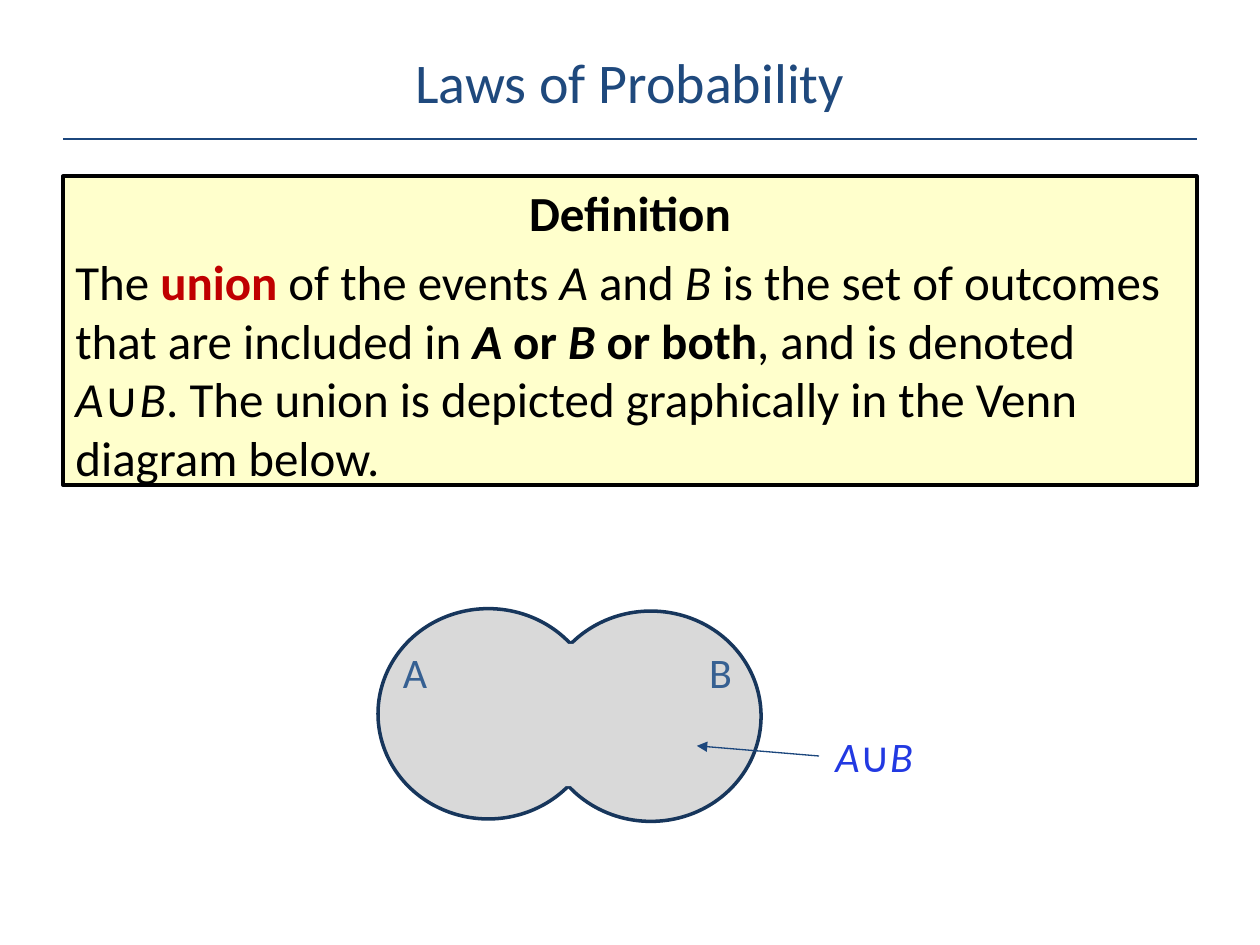
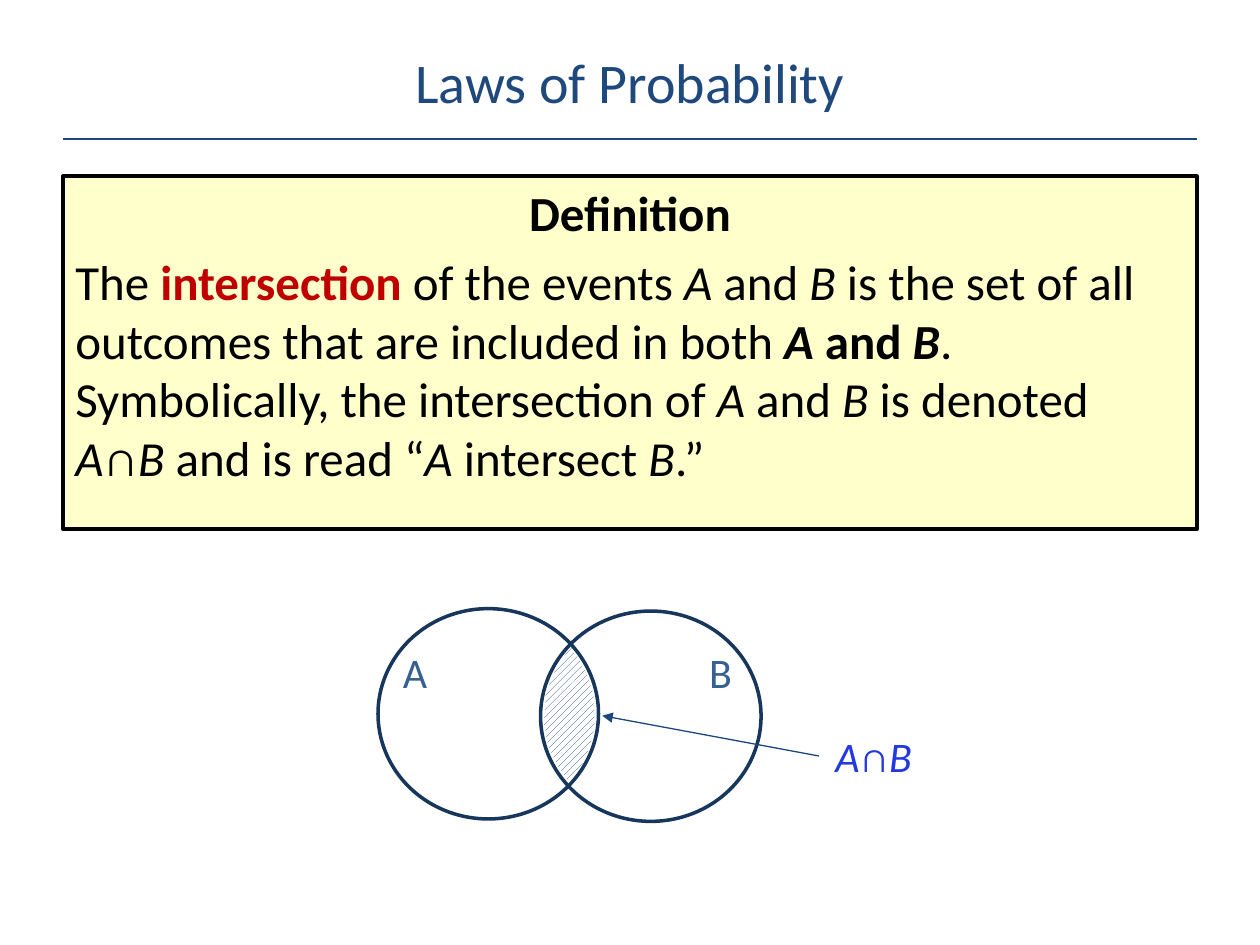
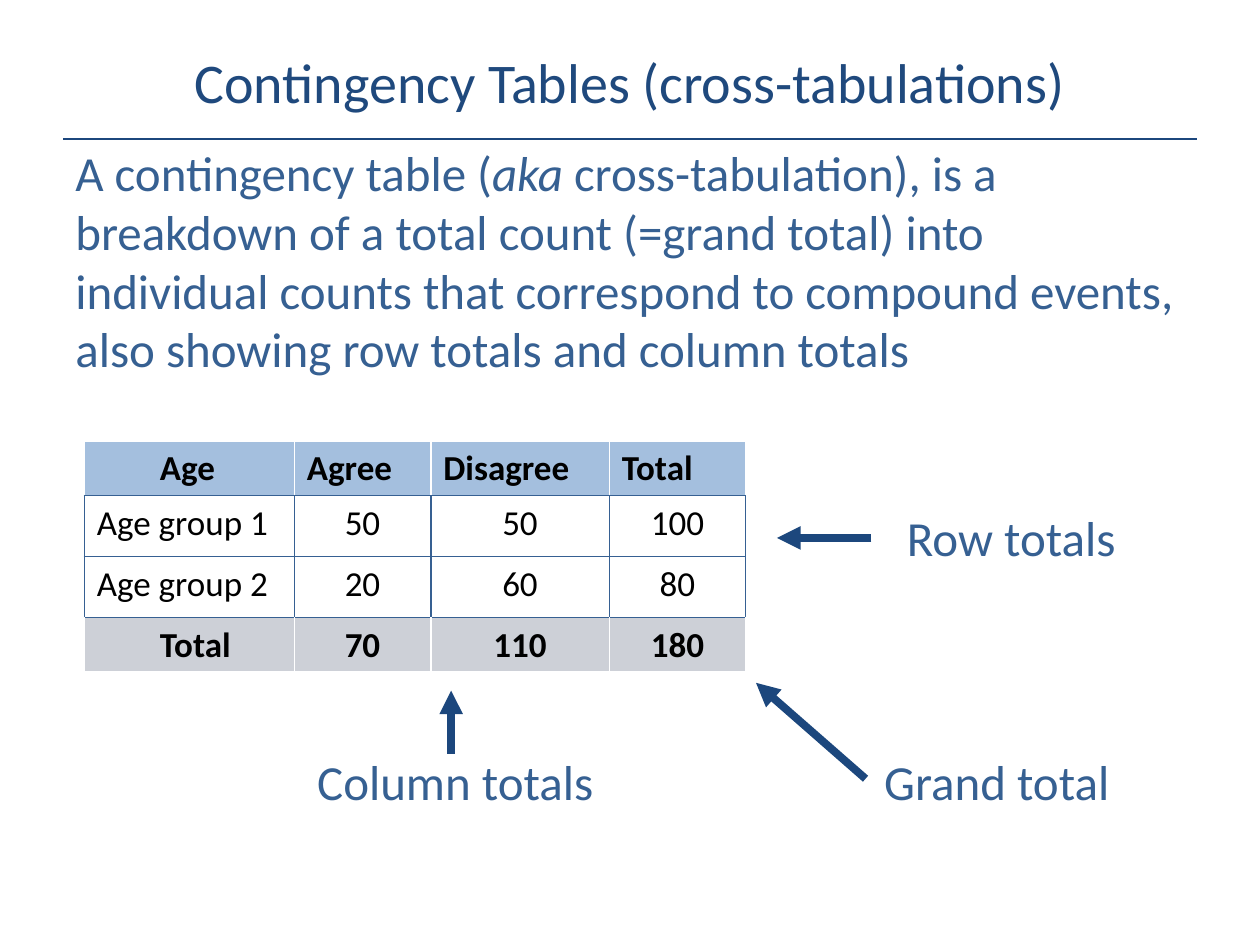
from lxml import etree
from pptx import Presentation
from pptx.dml.color import RGBColor
from pptx.enum import dml, shapes, text
from pptx.oxml import ns
from pptx.util import Pt

FONT = "Calibri"
COLORS = {
    "title": "1F497D", "rule": "1C477D", "body": "366092", "black": "000000",
    "key": "C00000", "result": "2239E2", "box": "FFFFCC", "circle": "17365C",
    "union": "D9D9D9", "white": "FFFFFF", "header": "A4BFDE", "total": "CDD0D7",
}

# Runs are (text, style): b bold, i italic, k key term.
UNION = {
    "title": "Laws of Probability",
    "box_height": 176.4,
    "definition": [
        ("The ", ""), ("union ", "bk"), ("of the events ", ""), ("A ", "i"), ("and ", ""),
        ("B", "i"), (" is the set of outcomes that are included in ", ""),
        ("A", "bi"), (" or ", "b"), ("B", "bi"), (" or both", "b"),
        (", and is denoted ", ""), ("A", "i"), ("∪", ""), ("B", "i"),
        (". The union is depicted graphically in the Venn diagram below.", ""),
    ],
    "result": [("A", "i"), ("∪", ""), ("B", "i")],
    "pointer": (398.2, 426.2),
}
INTERSECTION = {
    "title": "Laws of Probability",
    "box_height": 201.6,
    "definition": [
        ("The ", ""), ("intersection ", "bk"), ("of the events ", ""), ("A ", "i"),
        ("and ", ""), ("B", "i"),
        (" is the set of all outcomes that are included in both ", ""),
        ("A", "bi"), (" and ", "b"), ("B", "bi"),
        (". Symbolically, the intersection of ", ""), ("A", "i"), (" and ", ""),
        ("B", "i"), (" is denoted ", ""), ("A", "i"), ("∩", ""), ("B", "i"),
        (" and is read “", ""), ("A", "i"), (" intersect ", ""), ("B", "i"), (".”", ""),
    ],
    "result": [("A", "i"), ("∩", ""), ("B", "i")],
    "pointer": (344.2, 409),
}
CONTINGENCY = {
    "title": "Contingency Tables (cross-tabulations)",
    "intro": [
        ("A contingency table (", ""), ("aka", "i"),
        (" cross-tabulation), is a breakdown of a total count (=grand total) into "
         "individual counts that correspond to compound events, also showing row "
         "totals and column totals", ""),
    ],
    "counts": [
        ("\tAge", "Agree", "Disagree", "Total"),
        ("Age group 1", "50", "50", "100"),
        ("Age group 2", "20", "60", "80"),
        ("\tTotal", "70", "110", "180"),
    ],
    "callouts": [  # label, its box, arrow start, arrow end
        ("Row totals", (511.2, 286.6, 144, 41), (498, 307.4), (444, 307.4)),
        ("Column totals", (174.2, 426.2, 192, 41), (257.8, 430.6), (257.8, 394.6)),
        ("Grand total", (498.2, 426.2, 156, 41), (494.6, 445), (432, 390.2)),
    ],
}

MARGIN, CONTENT_WIDTH = 36, 648
CIRCLE_SIZE = (126, 120.2)
CIRCLES = {"A": (216, 347.8), "B": (308.9, 349.2)}
CIRCLE_LABELS = {"A": (223.2, 365.8), "B": (398.2, 365.8)}
OVERLAP_COVER = (264.2, 367.9, 113.8, 81.4)
LENS = [
    (326.2, 370), (319, 379.4), (311.8, 396), (311, 414), (313.2, 426.2),
    (319.7, 439.2), (325.4, 446.4), (332.6, 437), (337, 427), (339.8, 415.4),
    (339.1, 396), (334.1, 382.3), (330.5, 375.8),
]
COLUMN_WIDTHS = (120, 78, 102, 78)
ROW_HEIGHTS = (29.5, 34.8, 34.8, 29.5)


def rgb(name):
    return RGBColor.from_string(COLORS[name])


def pts(values):
    return [Pt(value) for value in values]


def write(paragraph, runs, size, color):
    for words, style in runs:
        run = paragraph.add_run()
        run.text = words
        font = run.font
        font.name, font.size = FONT, Pt(size)
        font.bold, font.italic = "b" in style, "i" in style
        font.color.rgb = rgb("key" if "k" in style else color)


def add_text(slide, box, runs, size, color):
    frame = slide.shapes.add_textbox(*pts(box)).text_frame
    frame.word_wrap = True
    write(frame.paragraphs[0], runs, size, color)
    return frame


def add_shape(slide, kind, box, fill=None, line=None, width=0):
    shape = slide.shapes.add_shape(kind, *pts(box))
    shape.shadow.inherit = False
    if fill:
        shape.fill.solid()
        shape.fill.fore_color.rgb = rgb(fill)
    else:
        shape.fill.background()
    if line:
        shape.line.color.rgb = rgb(line)
        shape.line.width = Pt(width)
    else:
        shape.line.fill.background()
    return shape


def add_line(slide, start, end, width, arrow=False):
    line = slide.shapes.add_connector(
        shapes.MSO_CONNECTOR.STRAIGHT, *pts(start + end))
    line.line.color.rgb = rgb("rule")
    line.line.width = Pt(width)
    if arrow:
        etree.SubElement(line.line._get_or_add_ln(), ns.qn("a:tailEnd"), type="triangle")
    etree.SubElement(line._element.spPr, ns.qn("a:effectLst"))


def add_titled_slide(deck, title):
    slide = deck.slides.add_slide(deck.slide_layouts[6])
    right = MARGIN + CONTENT_WIDTH
    add_line(slide, (MARGIN, 79.2), (right, 79.2), 1.25)
    frame = add_text(slide, (MARGIN, 14.4, CONTENT_WIDTH, 72), [(title, "")], 32, "title")
    frame.vertical_anchor = text.MSO_ANCHOR.MIDDLE
    frame.paragraphs[0].alignment = text.PP_ALIGN.CENTER
    frame.paragraphs[0].line_spacing = Pt(30)
    return slide


def add_definition(slide, runs, height):
    box = add_shape(slide, shapes.MSO_SHAPE.RECTANGLE,
                    (MARGIN, 100.8, CONTENT_WIDTH, height), "box", "black", 2.25)
    frame = box.text_frame
    frame.word_wrap = True
    frame.vertical_anchor = text.MSO_ANCHOR.TOP
    heading, definition = frame.paragraphs[0], frame.add_paragraph()
    heading.alignment = text.PP_ALIGN.CENTER
    write(heading, [("Definition", "b")], 28, "black")
    definition.alignment = text.PP_ALIGN.LEFT
    definition.space_before = Pt(5.6)
    write(definition, runs, 28, "black")


def add_circles(slide, names, fill=None):
    for name in names:
        add_shape(slide, shapes.MSO_SHAPE.OVAL, CIRCLES[name] + CIRCLE_SIZE,
                  fill, "circle", 2)


def draw_union(slide):
    add_circles(slide, "AB", "union")
    add_shape(slide, shapes.MSO_SHAPE.RECTANGLE, OVERLAP_COVER, "union")


def draw_intersection(slide):
    add_circles(slide, "BA")
    outline = slide.shapes.build_freeform(*pts(LENS[0]))
    outline.add_line_segments([pts(point) for point in LENS[1:]], close=True)
    lens = outline.convert_to_shape()
    lens.shadow.inherit = False
    lens.fill.patterned()
    lens.fill.pattern = dml.MSO_PATTERN.WIDE_UPWARD_DIAGONAL
    lens.fill.fore_color.rgb = rgb("title")
    lens.fill.back_color.rgb = rgb("white")
    lens.line.fill.background()


def add_venn_slide(deck, content, draw_venn):
    slide = add_titled_slide(deck, content["title"])
    add_definition(slide, content["definition"], content["box_height"])
    draw_venn(slide)
    for name, corner in CIRCLE_LABELS.items():
        add_text(slide, corner + (38.9, 36), [(name, "")], 24, "body")
    add_text(slide, (470.2, 414, 97.2, 36), content["result"], 24, "result")
    add_line(slide, (468, 432), content["pointer"], 0.75, arrow=True)


def set_borders(cell, left, right, top, bottom):
    properties = cell._tc.get_or_add_tcPr()
    sides = zip("LRTB", (left, right, top, bottom))
    for position, (side, color) in enumerate(sides):
        border = etree.Element(ns.qn(f"a:ln{side}"), w=str(Pt(1)))
        fill = etree.SubElement(border, ns.qn("a:solidFill"))
        etree.SubElement(fill, ns.qn("a:srgbClr"), val=COLORS[color])
        properties.insert(position, border)


def add_counts(slide, counts):
    table = slide.shapes.add_table(
        len(counts), len(counts[0]),
        *pts((48.2, 252, sum(COLUMN_WIDTHS), sum(ROW_HEIGHTS)))).table
    for column, width in zip(table.columns, COLUMN_WIDTHS):
        column.width = Pt(width)
    last = len(counts) - 1
    for r, values in enumerate(counts):
        table.rows[r].height = Pt(ROW_HEIGHTS[r])
        fill = {0: "header", last: "total"}.get(r, "white")
        side = "body" if fill == "white" else "white"
        top = "white" if r == 0 else "body"
        bottom = "white" if r == last else "body"
        for c, value in enumerate(values):
            cell = table.cell(r, c)
            cell.fill.solid()
            cell.fill.fore_color.rgb = rgb(fill)
            set_borders(cell, side, side, top, bottom)
            paragraph = cell.text_frame.paragraphs[0]
            if r and c:
                paragraph.alignment = text.PP_ALIGN.CENTER
            write(paragraph, [(value, "b" if r in (0, last) else "")], 20, "black")


def add_contingency_slide(deck, content):
    slide = add_titled_slide(deck, content["title"])
    add_text(slide, (MARGIN, 77.8, CONTENT_WIDTH, 143.3), content["intro"], 28, "body")
    add_counts(slide, content["counts"])
    for label, box, start, end in content["callouts"]:
        add_text(slide, box, [(label, "")], 28, "body")
        add_line(slide, start, end, 4.5, arrow=True)


def main():
    deck = Presentation()
    deck.slide_width, deck.slide_height = Pt(720), Pt(540)
    add_venn_slide(deck, UNION, draw_union)
    add_venn_slide(deck, INTERSECTION, draw_intersection)
    add_contingency_slide(deck, CONTINGENCY)
    deck.save("out.pptx")


if __name__ == "__main__":
    main()
